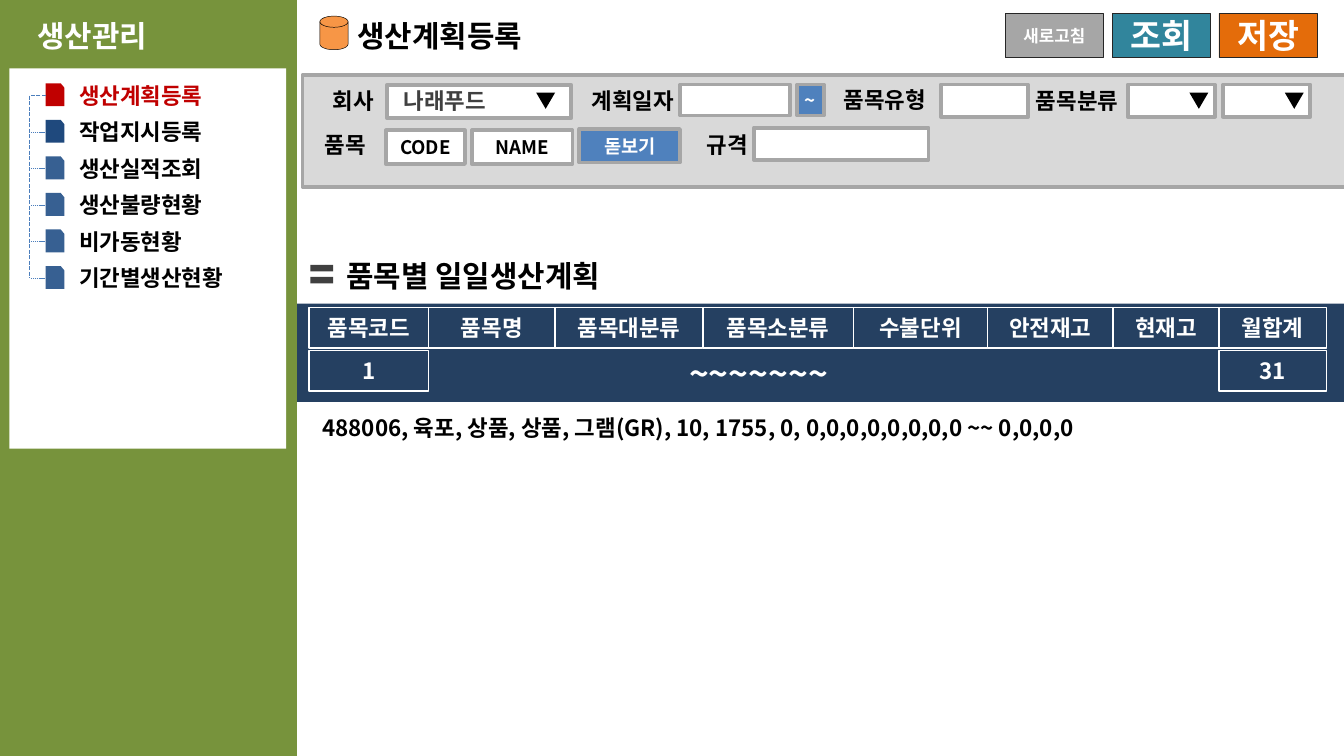
import pptx
import pptx.util
import pptx.dml.color
import pptx.enum.dml
import pptx.enum.shapes
import pptx.enum.text
import pptx.oxml.ns
import lxml.etree
from dataclasses import dataclass
from itertools import accumulate
from typing import Any

RGBColor = pptx.dml.color.RGBColor
Shape = pptx.enum.shapes.MSO_SHAPE
Connector = pptx.enum.shapes.MSO_CONNECTOR
Align = pptx.enum.text.PP_ALIGN
Anchor = pptx.enum.text.MSO_ANCHOR
qn = pptx.oxml.ns.qn

FONT = "Noto Sans CJK KR"
WHITE = RGBColor(0xFF, 0xFF, 0xFF)
BLACK = RGBColor(0x00, 0x00, 0x00)
CHARCOAL = RGBColor(0x40, 0x40, 0x40)
OUTLINE = RGBColor(0x26, 0x26, 0x26)
GREY = RGBColor(0xA6, 0xA6, 0xA6)
PALE_GREY = RGBColor(0xD9, 0xD9, 0xD9)
GREEN = RGBColor(0x77, 0x93, 0x3C)
NAVY = RGBColor(0x25, 0x40, 0x61)
DEEP_BLUE = RGBColor(0x1F, 0x49, 0x7D)
STEEL_BLUE = RGBColor(0x37, 0x60, 0x92)
BLUE = RGBColor(0x4F, 0x81, 0xBD)
LINE_BLUE = RGBColor(0x4B, 0x7E, 0xBC)
TEAL = RGBColor(0x31, 0x85, 0x9C)
ORANGE = RGBColor(0xE4, 0x6C, 0x0A)
LIGHT_ORANGE = RGBColor(0xF7, 0x96, 0x46)
RED = RGBColor(0xC0, 0x00, 0x00)

COLUMNS, ROWS = 100, 56.25
LABEL_HEIGHT = 3


def grid(cells):
    return pptx.util.Inches(10 * cells / COLUMNS)


def write(shape, text, size, color, align=Align.LEFT, anchor=Anchor.TOP, side=1):
    frame = shape.text_frame
    frame.word_wrap = True
    frame.vertical_anchor = anchor
    frame.margin_left = frame.margin_right = grid(side)
    paragraph = frame.paragraphs[0]
    paragraph.alignment = align
    run = paragraph.add_run()
    run.text = text
    run.font.size = pptx.util.Pt(size)
    run.font.bold = True
    run.font.name = FONT
    run.font.color.rgb = color
    east_asian = lxml.etree.SubElement(run.font._element, qn("a:ea"))
    east_asian.set("typeface", FONT)


@dataclass
class Region:
    slide: Any
    left: float
    top: float
    width: float
    height: float

    def place(self, left, top, width, height):
        return [grid(n) for n in (self.left + left, self.top + top, width, height)]

    def shape(self, box, fill=None, line=None, weight=0.25, kind=Shape.RECTANGLE):
        shape = self.slide.shapes.add_shape(kind, *self.place(*box))
        shape.shadow.inherit = False
        if fill is None:
            shape.fill.background()
        else:
            shape.fill.solid()
            shape.fill.fore_color.rgb = fill
        if line is None:
            shape.line.fill.background()
        else:
            shape.line.color.rgb = line
            shape.line.width = pptx.util.Pt(weight)
        return shape

    def button(self, box, text, size, fill, line, weight, color=WHITE):
        shape = self.shape(box, fill, line, weight)
        write(shape, text, size, color, Align.CENTER, Anchor.MIDDLE, side=0)

    def label(self, box, text, size=12, color=BLACK, align=Align.LEFT):
        write(self.slide.shapes.add_textbox(*self.place(*box)), text, size, color, align)

    def cell(self, box, text, color=WHITE, align=Align.CENTER):
        write(self.shape(box, line=WHITE, weight=0.75), text, 12, color, align)

    def field(self, left, top, width, height):
        self.shape((left, top, width, height), WHITE, GREY, 2)

    def arrow(self, left, top):
        self.shape((left, top, 1.4, 1.2), BLACK, kind=Shape.ISOSCELES_TRIANGLE).rotation = 180

    def connect(self, start, end, weight, kind=Connector.STRAIGHT):
        points = self.place(*start, 0, 0)[:2] + self.place(*end, 0, 0)[:2]
        connector = self.slide.shapes.add_connector(kind, *points)
        connector.line.color.rgb = LINE_BLUE
        connector.line.width = pptx.util.Pt(weight)
        connector.line.dash_style = pptx.enum.dml.MSO_LINE.SQUARE_DOT
        lxml.etree.SubElement(connector._element.spPr, qn("a:effectLst"))
        return connector


def build_sidebar(region):
    region.shape((0, 0, region.width, region.height), GREEN)
    region.label((1.8, 0.8, 17.3, 3.7), "생산관리", 16, WHITE)
    region.shape((0.7, 5.1, 20.6, 28.3), WHITE)
    step = 2.72
    items = [
        ("생산계획등록", RED, RED),
        ("작업지시등록", BLACK, DEEP_BLUE),
        ("생산실적조회", BLACK, STEEL_BLUE),
        ("생산불량현황", BLACK, STEEL_BLUE),
        ("비가동현황", BLACK, STEEL_BLUE),
        ("기간별생산현황", BLACK, STEEL_BLUE),
    ]
    for index, (text, color, icon_color) in enumerate(items):
        offset = index * step
        region.label((4.9, 5.6 + offset, 14.6, LABEL_HEIGHT), text, color=color)
        icon = region.shape((3.4, 6.2 + offset, 1.4, 1.7), icon_color, kind=Shape.FLOWCHART_CARD)
        icon._element.spPr.find(qn("a:xfrm")).set("flipH", "1")
        if index:
            region.connect((2.3, 7.1 + offset), (3.3, 7.1 + offset), 0.25)
    trunk = region.connect((3.4, 7.1), (2.2, 7.1 + 5 * step), 0.75, Connector.ELBOW)
    trunk._element.spPr.find(qn("a:prstGeom")).set("prst", "bentConnector2")


def build_header(region):
    title = region.slide.shapes.title
    title.left, title.top, title.width, title.height = region.place(3.5, 0.8, 20, 3.7)
    write(title, "생산계획등록", 16, BLACK)
    region.shape((1.7, 1.2, 2.1, 2.5), LIGHT_ORANGE, BLACK, kind=Shape.FLOWCHART_MAGNETIC_DISK)
    buttons = [("새로고침", 9, GREY), ("조회", 18, TEAL), ("저장", 18, ORANGE)]
    for index, (text, size, fill) in enumerate(buttons):
        region.button((52.7 + index * 7.95, 1, 7.3, 3.3), text, size, fill, OUTLINE, 0.25)


def build_filters(region):
    region.shape((0, 0, region.width, region.height), PALE_GREY, GREY, 2)
    fields = [
        (6.3, 0.7, 13.7, 2.5), (28.1, 0.7, 8.2, 2.3), (47.5, 0.7, 6.5, 2.4),
        (61.4, 0.7, 6.5, 2.4), (68.5, 0.7, 6.5, 2.4), (33.6, 3.9, 13, 2.4),
    ]
    for field in fields:
        region.field(*field)
    for left in (17.4, 66, 73.1):
        region.arrow(left, 1.3)
    labels = [
        (0.5, 0.4, 6.6, "회사", BLACK, Align.CENTER),
        (6.2, 0.4, 8.8, "나래푸드", CHARCOAL, Align.CENTER),
        (19.4, 0.4, 10.4, "계획일자", BLACK, Align.CENTER),
        (39.3, 0.3, 10.2, "품목유형", BLACK, Align.LEFT),
        (53.6, 0.4, 9.8, "품목분류", BLACK, Align.LEFT),
        (0.7, 3.7, 6, "품목", BLACK, Align.LEFT),
        (29.1, 3.7, 6, "규격", BLACK, Align.LEFT),
    ]
    for left, top, width, text, color, align in labels:
        region.label((left, top, width, LABEL_HEIGHT), text, color=color, align=align)
    buttons = [
        ((6.2, 4.1, 5.9, 2.5), "CODE", WHITE, BLACK),
        ((12.6, 4.1, 7.5, 2.5), "NAME", WHITE, BLACK),
        ((20.6, 4, 7.5, 2.5), "돋보기", BLUE, WHITE),
        ((36.8, 0.7, 2, 2.3), "~", BLUE, WHITE),
    ]
    for box, text, fill, color in buttons:
        region.button(box, text, 10, fill, GREY, 2, color)


def build_plan(region):
    for top in (1, 1.9):
        region.shape((1, top, 1.7, 0.5), CHARCOAL)
    region.label((2.7, 0, 26.8, 3.7), "품목별 일일생산계획", 16)
    for top in (3.9, 7.3):
        region.shape((0, top, region.width, 3.9), NAVY)
    names = ["품목코드", "품목명", "품목대분류", "품목소분류", "수불단위", "안전재고", "현재고", "월합계"]
    widths = [8.9, 9.4, 11, 11.2, 10, 9.3, 7.9, 8]
    lefts = list(accumulate(widths[:-1], initial=0.9))
    for name, left, width in zip(names, lefts, widths):
        region.cell((left, 4.2, width, LABEL_HEIGHT), name)
    for text, column in (("1", 0), ("31", -1)):
        region.cell((lefts[column], 7.4, widths[column], LABEL_HEIGHT), text)
    region.label((28.2, 7.1, 20, 4), "~~~~~~~", 18, WHITE)
    record = "488006, 육포, 상품, 상품, 그램(GR), 10, 1755, 0, 0,0,0,0,0,0,0,0 ~~ 0,0,0,0"
    region.cell((lefts[0], 11.6, 62.9, LABEL_HEIGHT), record, BLACK, Align.LEFT)


def main():
    presentation = pptx.Presentation()
    presentation.slide_width = grid(COLUMNS)
    presentation.slide_height = grid(ROWS)
    slide = presentation.slides.add_slide(presentation.slide_layouts[5])
    sidebar = 22.1
    content = COLUMNS - sidebar
    build_sidebar(Region(slide, 0, 0, sidebar, ROWS))
    build_header(Region(slide, sidebar, 0, content, 5))
    build_filters(Region(slide, 22.5, 5.6, content, 8.3))
    build_plan(Region(slide, sidebar, 18.7, content, 14.6))
    presentation.save("out.pptx")


if __name__ == "__main__":
    main()
